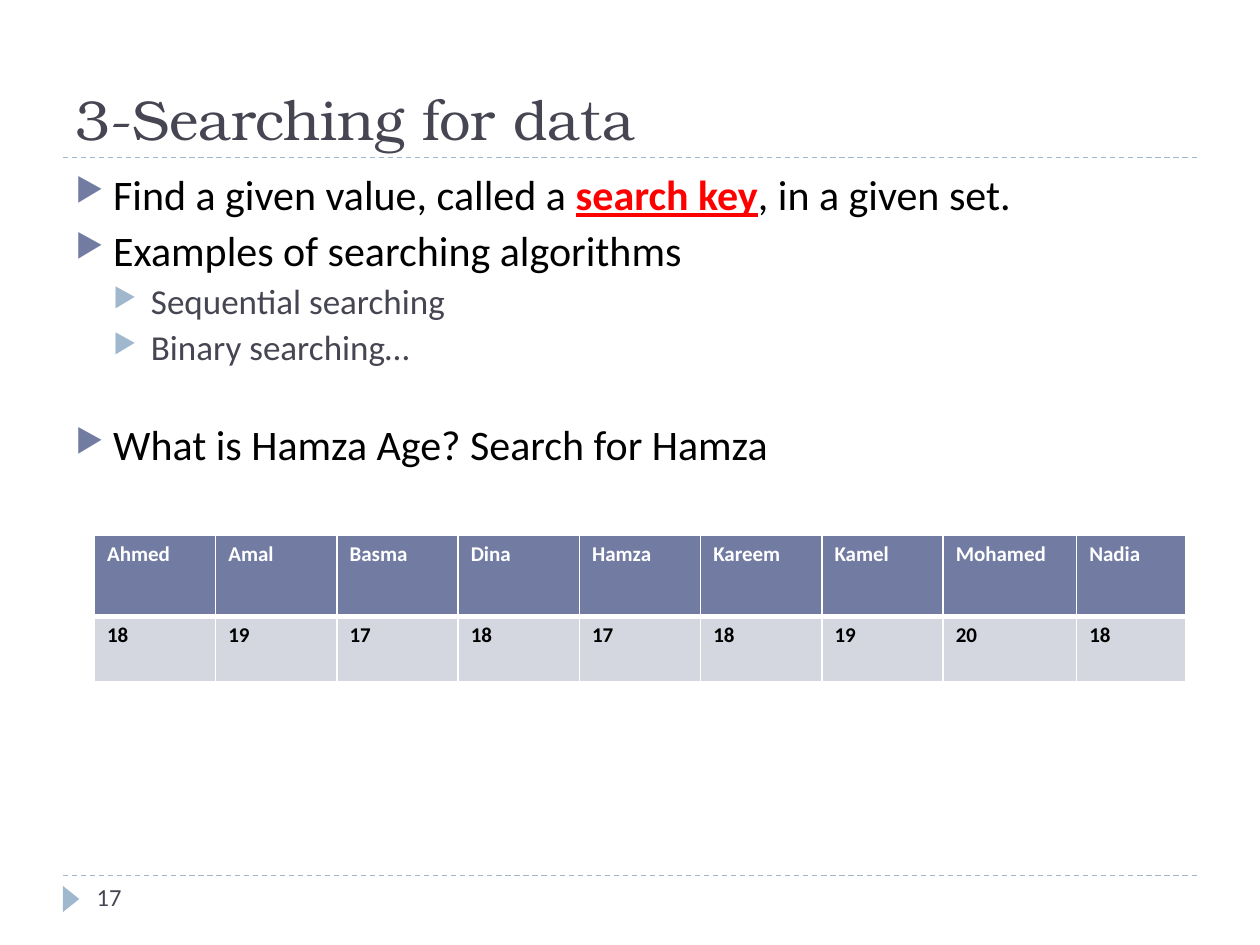
from dataclasses import dataclass

from pptx import Presentation
from pptx.dml.color import RGBColor
from pptx.enum import dml, shapes, text
from pptx.oxml.xmlchemy import OxmlElement
from pptx.util import Pt

SANS, SERIF = "Calibri", "TeX Gyre Bonum"
SLATE, INDIGO, SKY = "464653", "727CA3", "9FB8CD"
PALE, WHITE, BLACK, RED = "D5D7E0", "FFFFFF", "000000", "FF0000"
MARGIN, CONTENT_W = 36, 648


@dataclass
class Level:
    size: int
    color: str
    bullet_color: str
    indent: float
    space_before: float


@dataclass
class Run:
    text: str
    color: str = ""
    key: bool = False


@dataclass
class Item:
    level: Level
    runs: list[Run]
    extra_space: float = 0


TOPIC = Level(24, BLACK, INDIGO, 21.6, 6)
DETAIL = Level(20, SLATE, SKY, 43.2, 5)
ITEMS = [
    Item(TOPIC, [Run("Find a given value, called a "),
                 Run("search key", RED, True),
                 Run(", in a given set.")]),
    Item(TOPIC, [Run("Examples of searching algorithms")]),
    Item(DETAIL, [Run("Sequential searching")]),
    Item(DETAIL, [Run("Binary searching…")]),
    Item(TOPIC, [Run("What is Hamza Age? Search for Hamza")], 26),
]
AGES = {"Ahmed": 18, "Amal": 19, "Basma": 17, "Dina": 18, "Hamza": 17,
        "Kareem": 18, "Kamel": 19, "Mohamed": 20, "Nadia": 18}


def rgb(color: str) -> RGBColor:
    return RGBColor.from_string(color)


def add_child(parent, tag: str, **attrs):
    child = OxmlElement(tag)
    for name, value in attrs.items():
        child.set(name, str(value))
    parent.append(child)
    return child


def add_run(p, content: str, size: float, color: str, font=SANS, bold=False):
    r = p.add_run()
    r.text = content
    r.font.name, r.font.size, r.font.bold = font, Pt(size), bold
    r.font.color.rgb = rgb(color)
    return r


def add_box(s, left: float, top: float, width: float, height: float):
    tf = s.shapes.add_textbox(Pt(left), Pt(top), Pt(width), Pt(height)).text_frame
    tf.word_wrap = True
    return tf


def add_rule(s, y: float) -> None:
    line = s.shapes.add_connector(shapes.MSO_CONNECTOR.STRAIGHT, Pt(MARGIN), Pt(y),
                                  Pt(MARGIN + CONTENT_W), Pt(y))
    line.line.color.rgb = rgb(SKY)
    line.line.width = Pt(0.75)
    line.line.dash_style = dml.MSO_LINE.DASH
    add_child(line._element.spPr, "a:effectLst")


def add_marker(s) -> None:
    sp = s.shapes.add_shape(shapes.MSO_SHAPE.ISOSCELES_TRIANGLE,
                            Pt(33.1), Pt(509), Pt(15), Pt(9.4))
    sp.rotation = 90
    sp.shadow.inherit = False
    sp.fill.solid()
    sp.fill.fore_color.rgb = rgb(SKY)
    sp.line.fill.background()


def set_bullet(p, level: Level) -> None:
    pPr = p._p.get_or_add_pPr()
    pPr.set("marL", str(Pt(level.indent)))
    pPr.set("indent", str(-Pt(TOPIC.indent)))
    add_child(add_child(pPr, "a:buClr"), "a:srgbClr", val=level.bullet_color)
    add_child(pPr, "a:buSzPct", val=76000)
    add_child(pPr, "a:buChar", char="▶")


def add_items(tf, items: list[Item]) -> None:
    for i, item in enumerate(items):
        p = tf.add_paragraph() if i else tf.paragraphs[0]
        level = item.level
        set_bullet(p, level)
        p.line_spacing = 0.9
        p.space_before = Pt(level.space_before + item.extra_space if i else 0)
        for run in item.runs:
            r = add_run(p, run.text, level.size, run.color or level.color, bold=run.key)
            r.font.underline = run.key


def set_borders(cell, **widths: float) -> None:
    """Draw white borders; the keywords are the sides L, R, T and B, in that order."""
    tcPr = cell._tc.get_or_add_tcPr()
    for side, width in widths.items():
        ln = add_child(tcPr, f"a:ln{side}", w=Pt(width))
        add_child(add_child(ln, "a:solidFill"), "a:srgbClr", val=WHITE)


def add_age_table(s) -> None:
    col_widths = [69.3] * 7 + [76.3, 62.6]
    row_heights = [46.4, 37.4]
    table = s.shapes.add_table(2, len(AGES), Pt(54), Pt(306), Pt(sum(col_widths)),
                               Pt(sum(row_heights))).table
    for col, width in zip(table.columns, col_widths):
        col.width = Pt(width)
    for row, height in zip(table.rows, row_heights):
        row.height = Pt(height)
    rows = [(AGES.keys(), INDIGO, WHITE, 1, 3), (AGES.values(), PALE, BLACK, 3, 1)]
    for i, (values, fill, color, top, bottom) in enumerate(rows):
        for j, value in enumerate(values):
            cell = table.cell(i, j)
            set_borders(cell, L=1, R=1, T=top, B=bottom)
            cell.fill.solid()
            cell.fill.fore_color.rgb = rgb(fill)
            add_run(cell.text_frame.paragraphs[0], str(value), 12, color, bold=True)


def main() -> None:
    prs = Presentation()
    prs.slide_width, prs.slide_height = Pt(720), Pt(540)
    s = prs.slides.add_slide(prs.slide_layouts[6])

    for y in (500.4, 90):
        add_rule(s, y)
    add_marker(s)

    title = add_box(s, MARGIN, 12.2, CONTENT_W, 77.8)
    title.vertical_anchor = text.MSO_ANCHOR.BOTTOM
    add_run(title.paragraphs[0], "3-Searching for data", 32, SLATE, SERIF)

    number = add_box(s, 48.2, 500.4, 156, 28.8)
    add_run(number.paragraphs[0], "17", 14, SLATE)

    add_items(add_box(s, MARGIN, 96, CONTENT_W, 389), ITEMS)
    add_age_table(s)
    prs.save("out.pptx")


if __name__ == "__main__":
    main()
